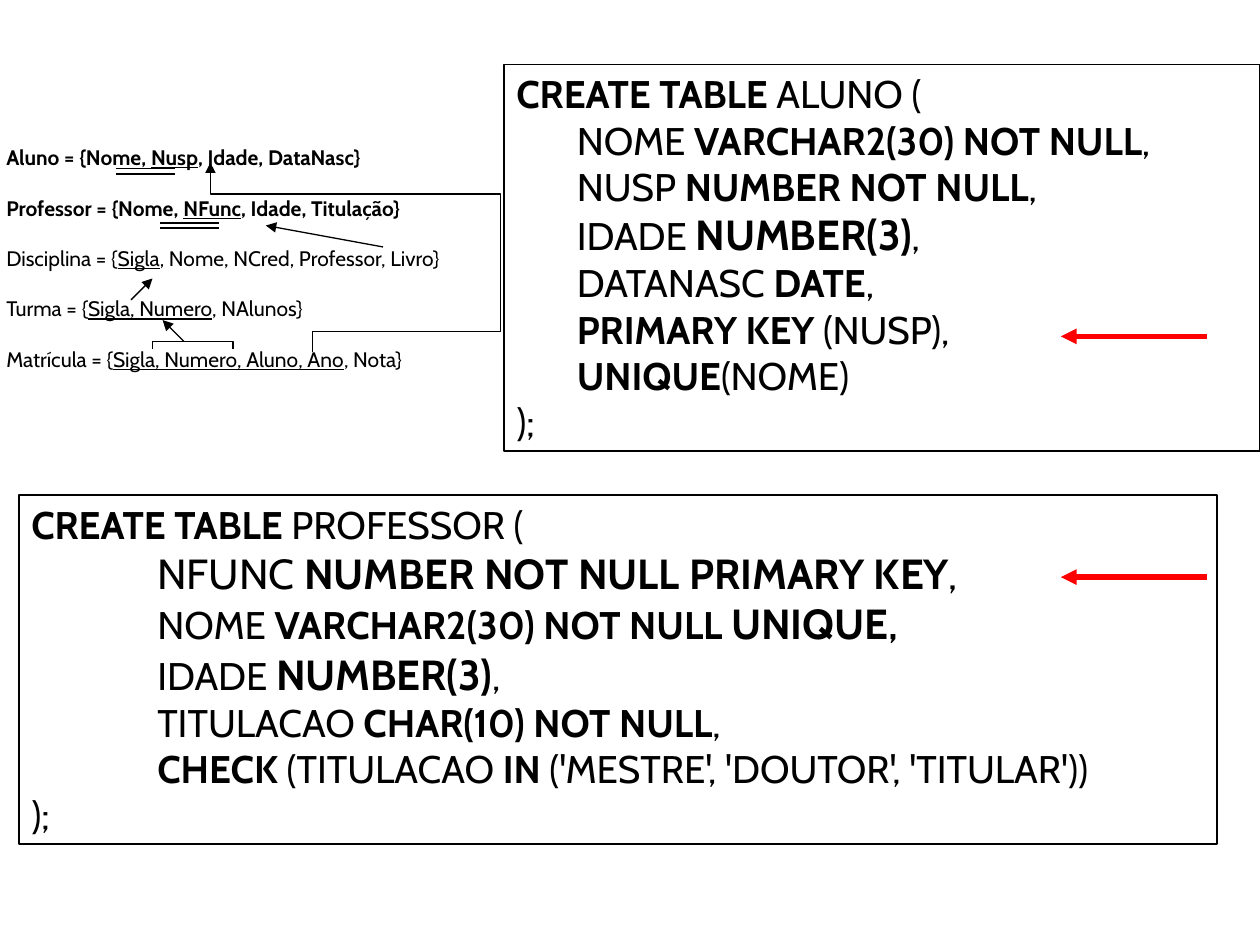
import pptx
import pptx.enum.shapes
import pptx.enum.text
import pptx.oxml
import pptx.oxml.ns
import pptx.util
from pptx.util import Inches

COLORS = {"ink": "000000", "accent": "FF0000"}
FONT = "Cabin"

# Each line is a list of (text, style) spans: b bold, u underlined, L large
RELATIONS = [
    [("Aluno = {Nome, ", "b"), ("Nusp", "bu"), (", Idade, DataNasc}", "b")],
    [("Professor = {Nome, ", "b"), ("NFunc", "bu"), (", Idade, Titulação}", "b")],
    [("Disciplina = {", ""), ("Sigla", "u"), (", Nome, NCred, Professor, Livro}", "")],
    [("Turma = {", ""), ("Sigla, Numero", "u"), (", NAlunos}", "")],
    [("Matrícula = {", ""), ("Sigla, Numero, Aluno, Ano", "u"), (", Nota}", "")],
]
ALUNO_SQL = [
    [("CREATE TABLE", "b"), (" ALUNO (", "")],
    [("       NOME ", ""), ("VARCHAR2(30) NOT NULL", "b"), (",", "")],
    [("       NUSP ", ""), ("NUMBER NOT NULL", "b"), (",", "")],
    [("       IDADE ", ""), ("NUMBER(3)", "bL"), (",", "")],
    [("       DATANASC ", ""), ("DATE", "b"), (",", "")],
    [("       ", ""), ("PRIMARY KEY", "b"), (" (NUSP),", "")],
    [("       ", ""), ("UNIQUE", "b"), ("(NOME)", "")],
    [(");", "")],
]
PROFESSOR_SQL = [
    [("CREATE TABLE", "b"), (" PROFESSOR (", "")],
    [("\tNFUNC ", "L"), ("NUMBER NOT NULL PRIMARY KEY", "bL"), (",", "L")],
    [("\tNOME ", ""), ("VARCHAR2(30) NOT NULL ", "b"), ("UNIQUE", "bL"), (",", "b")],
    [("\tIDADE ", ""), ("NUMBER(3)", "bL"), (",", "")],
    [("\tTITULACAO ", ""), ("CHAR(10) NOT NULL", "b"), (",", "")],
    [("\t", ""), ("CHECK", "b"), (" (TITULACAO ", ""), ("IN", "b"),
     (" ('MESTRE', 'DOUTOR', 'TITULAR'))", "")],
    [(");", "")],
]


def rgb(name):
    return pptx.dml.color.RGBColor.from_string(COLORS[name])


def add_span(para, text, size=12, bold=False, underline=False, color="ink"):
    span = para.add_run()
    span.text = text
    span.font.name = FONT
    span.font.size = pptx.util.Pt(size)
    span.font.bold = bold
    span.font.underline = underline
    span.font.color.rgb = rgb(color)


def add_tab_stop(para, position):
    properties = para._p.get_or_add_pPr()
    stops = pptx.oxml.ns.qn("a:tabLst")
    tab_list = properties.makeelement(stops, {})
    properties.append(tab_list)
    tab = tab_list.makeelement(
        pptx.oxml.ns.qn("a:tab"), {"pos": str(Inches(position)), "algn": "l"})
    tab_list.append(tab)


def fill_text(box, lines, size, gap=0, left_inset=0.1):
    frame = box.text_frame
    frame.word_wrap = True
    frame.vertical_anchor = pptx.enum.text.MSO_ANCHOR.TOP
    frame.margin_left, frame.margin_right = Inches(left_inset), Inches(0.1)
    frame.margin_top = frame.margin_bottom = Inches(0.05)
    for index, line in enumerate(lines):
        para = frame.add_paragraph() if index else frame.paragraphs[0]
        add_tab_stop(para, 1)
        para.alignment = pptx.enum.text.PP_ALIGN.LEFT
        if index and gap:
            para.space_before = pptx.util.Pt(gap)
        for text, style in line:
            add_span(para, text, size=size + 2 * ("L" in style),
                     bold="b" in style, underline="u" in style)


def style_line(line, color="ink", width=0.75, arrow=None):
    line.color.rgb = rgb(color)
    line.width = pptx.util.Pt(width)
    if arrow:
        outline = line._get_or_add_ln()
        outline.append(outline.makeelement(
            pptx.oxml.ns.qn(f"a:{arrow}End"), {"type": "triangle"}))


def add_line(page, start, end, **style):
    line = page.shapes.add_connector(
        pptx.enum.shapes.MSO_CONNECTOR.STRAIGHT,
        *(Inches(value) for value in start + end))
    style_line(line.line, **style)
    properties = line._element.spPr
    properties.append(properties.makeelement(pptx.oxml.ns.qn("a:effectLst"), {}))


def add_path(page, points, **style):
    corners = [(Inches(x), Inches(y)) for x, y in points]
    builder = page.shapes.build_freeform(*corners[0], scale=1.0)
    builder.add_line_segments(corners[1:], close=False)
    path = builder.convert_to_shape()
    path.shadow.inherit = False
    path.fill.background()
    style_line(path.line, **style)


def add_code_box(page, left, top, width, height, lines):
    box = page.shapes.add_shape(
        pptx.enum.shapes.MSO_SHAPE.RECTANGLE,
        Inches(left), Inches(top), Inches(width), Inches(height))
    box.shadow.inherit = False
    box.fill.background()
    style_line(box.line)
    fill_text(box, lines, size=22)


def main():
    deck = pptx.Presentation()
    deck.slide_width, deck.slide_height = Inches(10), Inches(7.5)
    page = deck.slides.add_slide(deck.slide_layouts[6])

    # Relational schema
    schema = page.shapes.add_textbox(
        Inches(-0.08), Inches(1.1), Inches(4.14), Inches(1.9))
    fill_text(schema, RELATIONS, size=12, gap=14.4, left_inset=0.13)

    # Foreign keys
    add_path(page, [(1.21, 2.77), (1.21, 2.71), (1.85, 2.71), (1.85, 2.77)], width=1)
    add_line(page, (1.46, 2.71), (1.29, 2.54), arrow="tail")
    add_path(page, [(2.48, 2.79), (2.48, 2.63), (3.97, 2.63),
                    (3.97, 1.54), (1.67, 1.54), (1.67, 1.29)], arrow="tail")
    add_line(page, (1.04, 2.38), (1.21, 2.21), arrow="tail")
    add_line(page, (3.04, 1.96), (2.11, 1.79), arrow="tail")

    # Double underlines of the alternate keys
    for left, top in ((0.92, 1.34), (1.27, 1.77)):
        for y in (top, top + 0.04):
            add_line(page, (left, y), (left + 0.47, y))

    # Table definitions
    add_code_box(page, 4, 0.51, 6, 3.07, ALUNO_SQL)
    add_code_box(page, 0.15, 3.93, 9.51, 2.77, PROFESSOR_SQL)

    # Arrows to the primary keys
    for y in (2.67, 4.58):
        add_line(page, (8.42, y), (9.58, y), color="accent", width=3, arrow="head")

    deck.save("out.pptx")


if __name__ == "__main__":
    main()
